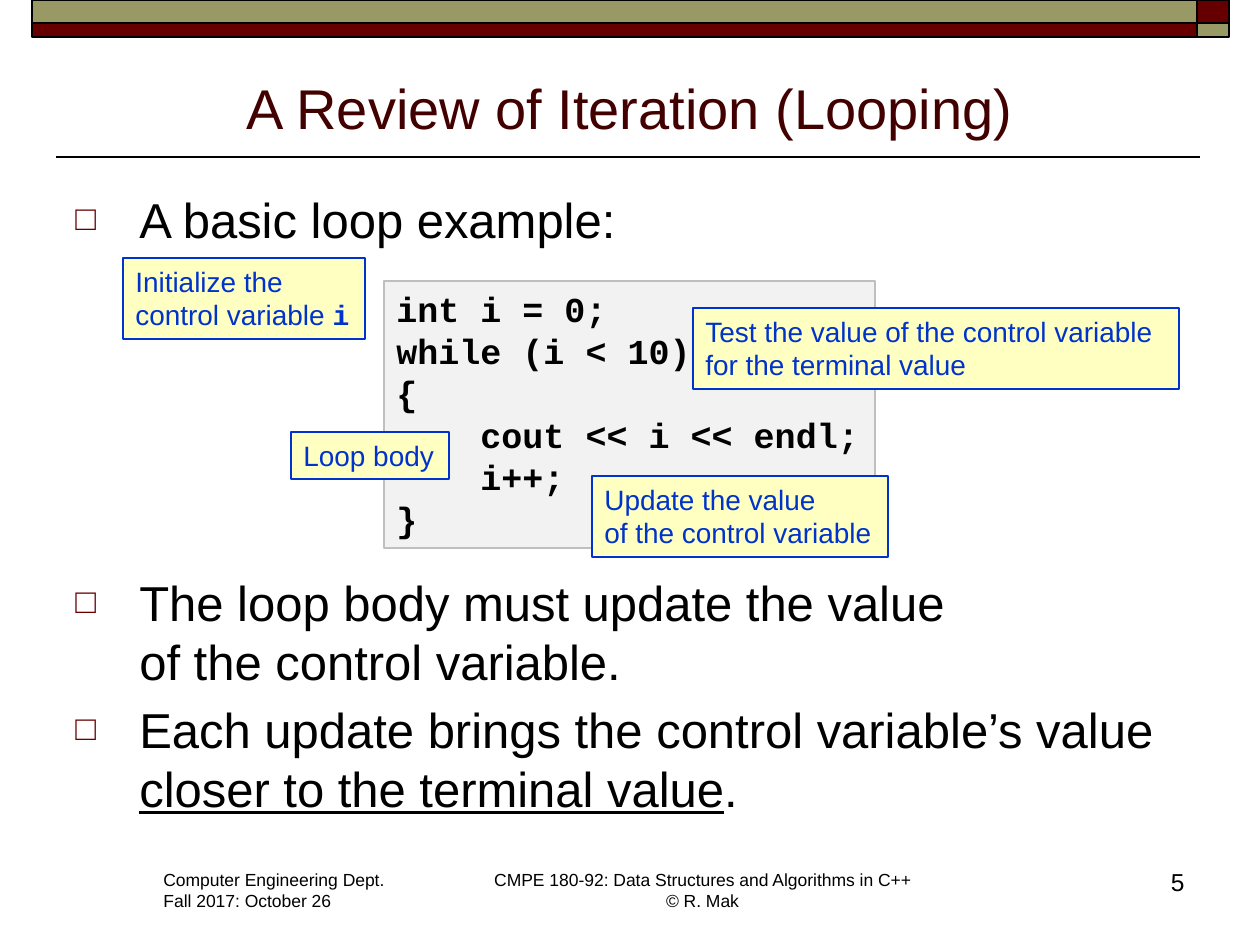
from lxml.etree import SubElement
from pptx import Presentation
from pptx.dml.color import RGBColor
from pptx.enum.shapes import MSO_CONNECTOR, MSO_SHAPE
from pptx.enum.text import MSO_ANCHOR, MSO_AUTO_SIZE, PP_ALIGN
from pptx.oxml.ns import qn
from pptx.util import Emu, Pt

SANS, MONO = "Arial", "Courier New"
BLACK, MAROON, OLIVE, BLUE = "000000", "660000", "999966", "0033CC"
TITLE = "A Review of Iteration (Looping)"
BANDS = [
    ((1197, 0, 32, 23), MAROON),
    ((32, 0, 1165, 23), OLIVE),
    ((32, 23, 1165, 14), MAROON),
    ((1197, 23, 32, 14), OLIVE),
]
BULLETS = [
    ((63, 183, 1134, 70), [["A basic loop example:"]]),
    ((63, 566, 1134, 280), [
        ["The loop body must update the value", "\n", "of the control variable."],
        ["Each update brings the control variable’s value ",
         ("closer to the terminal value", {"underline": True}), "."],
    ]),
]
CODE = [["int i = 0;"], ["while (i < 10)"], ["{"],
        ["    cout << i << endl;"], ["    i++;"], ["}"]]
CALLOUTS = [
    ((123, 258, 242, 81), [["Initialize the"],
                           ["control variable ", ("i", {"name": MONO, "bold": True})]]),
    ((693, 308, 486, 81), [["Test the value of the control variable"],
                           ["for the terminal value"]]),
    ((291, 432, 158, 47), [["Loop body"]]),
    ((592, 476, 296, 81), [["Update the value"], ["of the control variable"]]),
]
FOOTERS = [
    ((151, 863, 248, 55), [["Computer Engineering Dept."], ["Fall 2017: October 26"]],
     10, PP_ALIGN.LEFT, False),
    ((479, 863, 447, 55), [["CMPE 180-92: Data Structures and Algorithms in C++",
                            "\n", "© R. Mak"]], 10, PP_ALIGN.CENTER, False),
    ((935, 861, 262, 63), [["5"]], 14, PP_ALIGN.RIGHT, True),
]


def px(n):
    return Emu(round(n * 914400 / 126))


def rgb(value):
    return RGBColor.from_string(value)


def add_bullet(p):
    pPr = p._p.get_or_add_pPr()
    pPr.set("marL", str(px(64)))
    pPr.set("indent", str(-px(64)))
    color = SubElement(pPr, qn("a:buClr"))
    SubElement(color, qn("a:srgbClr"), val=MAROON)
    SubElement(pPr, qn("a:buSzPct"), val="70000")
    SubElement(pPr, qn("a:buFont"), typeface=SANS)
    SubElement(pPr, qn("a:buChar"), char="□")


def write(tf, paras, size, color=BLACK, name=SANS, bold=False,
          align=PP_ALIGN.LEFT, wrap=False, bullet=False):
    tf.word_wrap = wrap
    tf.auto_size = MSO_AUTO_SIZE.NONE if wrap else MSO_AUTO_SIZE.SHAPE_TO_FIT_TEXT
    for i, runs in enumerate(paras):
        p = tf.add_paragraph() if i else tf.paragraphs[0]
        p.alignment = align
        if bullet:
            add_bullet(p)
            p.space_before = Pt(size * 0.2 if i else 0)
        for run in runs:
            if run == "\n":
                p.add_line_break()
                continue
            text, extra = (run, {}) if isinstance(run, str) else run
            r = p.add_run()
            r.text = text
            r.font.size = Pt(size)
            r.font.name = name
            r.font.bold = bold
            r.font.color.rgb = rgb(color)
            for key, value in extra.items():
                setattr(r.font, key, value)


def add_rect(s, box, fill, line, width):
    sp = s.shapes.add_shape(MSO_SHAPE.RECTANGLE, *map(px, box))
    sp.shadow.inherit = False
    sp.fill.solid()
    sp.fill.fore_color.rgb = rgb(fill)
    sp.line.color.rgb = rgb(line)
    sp.line.width = Pt(width)
    sp.text_frame.vertical_anchor = MSO_ANCHOR.TOP
    return sp


def add_rule(s, x1, x2, y):
    line = s.shapes.add_connector(MSO_CONNECTOR.STRAIGHT, px(x1), px(y), px(x2), px(y))
    line.line.color.rgb = rgb(BLACK)
    line.line.width = Pt(1)
    SubElement(line._element.spPr, qn("a:effectLst"))


def main():
    """Build the slide on looping and save it."""
    prs = Presentation()
    prs.slide_width, prs.slide_height = px(1260), px(945)
    s = prs.slides.add_slide(prs.slide_layouts[5])

    add_rule(s, 56, 1200, 157)
    for box, fill in BANDS:
        add_rect(s, box, fill, BLACK, 1)

    title = s.shapes.title
    title.left, title.top, title.width, title.height = map(px, (63, 57, 1134, 90))
    title.text_frame.vertical_anchor = MSO_ANCHOR.BOTTOM
    write(title.text_frame, [[TITLE]], 32, "420000", align=PP_ALIGN.CENTER, wrap=True)

    for box, paras, size, align, wrap in FOOTERS:
        sp = s.shapes.add_textbox(*map(px, box))
        write(sp.text_frame, paras, size, align=align, wrap=wrap)
    for box, paras in BULLETS:
        sp = s.shapes.add_textbox(*map(px, box))
        write(sp.text_frame, paras, 28, wrap=True, bullet=True)

    sp = add_rect(s, (384, 281, 491, 267), "F2F2F2", "BFBFBF", 0.75)
    write(sp.text_frame, CODE, 20, name=MONO, bold=True)
    for box, paras in CALLOUTS:
        sp = add_rect(s, box, "FFFFC2", BLUE, 0.75)
        write(sp.text_frame, paras, 16, BLUE)

    prs.save("out.pptx")


if __name__ == "__main__":
    main()
